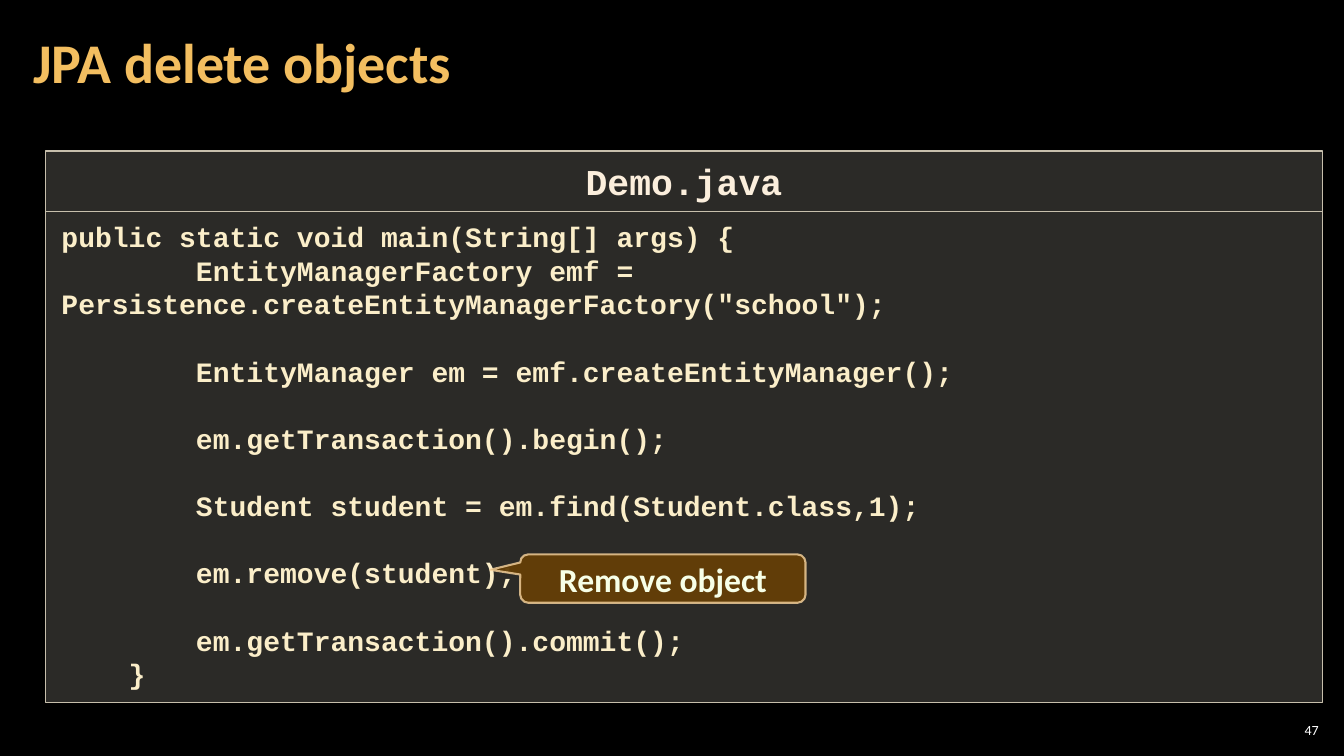
from dataclasses import dataclass
from lxml.etree import SubElement
from pptx import Presentation
from pptx.dml.color import RGBColor
from pptx.enum.shapes import MSO_SHAPE
from pptx.enum.text import MSO_ANCHOR, PP_ALIGN
from pptx.oxml.ns import qn
from pptx.util import Inches, Pt


@dataclass(frozen=True)
class Theme:
    back: str = "000000"
    title: str = "F3BE60"
    panel: str = "D9D5C7"
    edge: str = "C7BFAC"
    code: str = "FBEEC9"
    head: str = "FBEEDC"
    note: str = "643F07"
    rim: str = "F8D49E"
    label: str = "F7FFE7"
    page: str = "FFFFFF"
    sans: str = "Calibri"
    mono: str = "Courier New"
    title_size: int = 40
    head_size: int = 26
    note_size: int = 24
    code_size: int = 20
    page_size: int = 10
    code_pitch: int = 24


theme = Theme()


def paint(fill, color, alpha):
    fill.solid()
    fill.fore_color.rgb = RGBColor.from_string(color)
    node = fill._xPr.find(qn("a:solidFill"))[0]
    SubElement(node, qn("a:alpha")).set("val", str(alpha * 1000))


def write(shape, lines, face, size, color, bold, align, anchor, pad):
    frame = shape.text_frame
    frame.word_wrap = True
    frame.vertical_anchor = anchor
    frame.margin_left = frame.margin_right = Inches(pad[0])
    frame.margin_top = frame.margin_bottom = Inches(pad[1])
    for i, line in enumerate(lines):
        para = frame.paragraphs[0] if i == 0 else frame.add_paragraph()
        para.alignment = align
        run = para.add_run()
        run.text = line
        run.font.name = face
        run.font.size = Pt(size)
        run.font.bold = bold
        run.font.color.rgb = RGBColor.from_string(color)
    return frame.paragraphs


deck = Presentation()
deck.slide_width, deck.slide_height = Inches(13.33), Inches(7.5)
slide = deck.slides.add_slide(deck.slide_layouts[6])
slide.background.fill.solid()
slide.background.fill.fore_color.rgb = RGBColor.from_string(theme.back)
shapes = slide.shapes

page = shapes.add_textbox(Inches(12.65), Inches(7.14), Inches(0.47), Inches(0.21))
write(page, ["47"], theme.sans, theme.page_size, theme.page, False,
      PP_ALIGN.RIGHT, MSO_ANCHOR.MIDDLE, (0.04, 0.04))

title = shapes.add_textbox(Inches(0.21), Inches(0.04), Inches(10.47), Inches(1.21))
paras = write(title, ["JPA delete objects"], theme.sans, theme.title_size, theme.title,
              True, PP_ALIGN.LEFT, MSO_ANCHOR.MIDDLE, (0.12, 0.04))
paras[0].line_spacing = 0.9

code = [
    "public static void main(String[] args) {",
    "        EntityManagerFactory emf = Persistence.createEntityManagerFactory(\"school\");",
    "        EntityManager em = emf.createEntityManager();",
    "        em.getTransaction().begin();",
    "        Student student = em.find(Student.class,1);",
    "        em.remove(student);",
    "        em.getTransaction().commit();",
    "    }",
]
panels = [
    (2.1, 4.87, code, theme.code_size, theme.code, PP_ALIGN.LEFT),
    (1.5, 0.6, ["Demo.java"], theme.head_size, theme.head, PP_ALIGN.CENTER),
]
for top, height, lines, size, color, align in panels:
    panel = shapes.add_shape(MSO_SHAPE.RECTANGLE, Inches(0.45), Inches(top),
                             Inches(12.67), Inches(height))
    panel.shadow.inherit = False
    paint(panel.fill, theme.panel, 20)
    paint(panel.line.fill, theme.edge, 100)
    panel.line.width = Pt(1)
    paras = write(panel, lines, theme.mono, size, color, True, align,
                  MSO_ANCHOR.TOP, (0.16, 0.08))
    if lines is code:
        for para in paras:
            para.line_spacing = Pt(theme.code_pitch)
        for para in paras[2:-1]:
            para.space_before = Pt(theme.code_pitch)

note = shapes.add_shape(MSO_SHAPE.ROUNDED_RECTANGULAR_CALLOUT, Inches(5.16), Inches(5.5),
                        Inches(2.83), Inches(0.48))
note.shadow.inherit = False
for i, value in enumerate((-0.605, -0.181, 0.167)):
    note.adjustments[i] = value
paint(note.fill, theme.note, 95)
paint(note.line.fill, theme.rim, 80)
note.line.width = Pt(1.5)
write(note, ["Remove object"], theme.sans, theme.note_size, theme.label, True,
      PP_ALIGN.CENTER, MSO_ANCHOR.MIDDLE, (0.1, 0.05))

deck.save("out.pptx")
